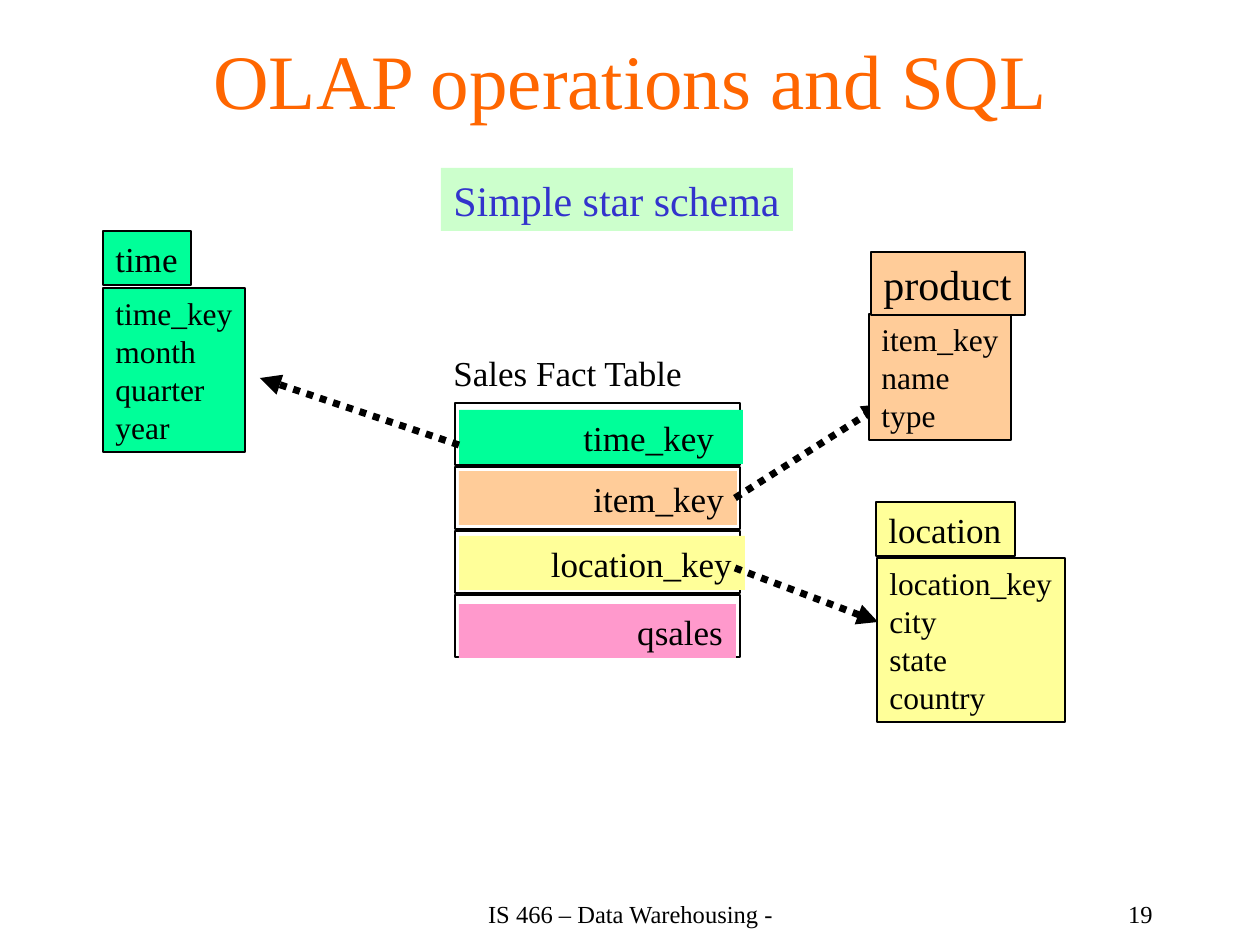
import pptx
import pptx.dml.color
import pptx.enum.dml
import pptx.enum.shapes
import pptx.enum.text
import pptx.oxml.ns
import pptx.util
from lxml import etree

PX = 914400 / 126
FONT = "Times New Roman"
COLORS = {
    "black": "000000",
    "title": "FF6600",
    "subtitle": "3333CC",
    "subtitle_fill": "CCFFCC",
    "time": "00FF99",
    "product": "FFCC99",
    "location": "FFFF99",
    "sales": "FF99CC",
}
ALIGN = pptx.enum.text.PP_ALIGN
ANCHOR = pptx.enum.text.MSO_ANCHOR


def emu(*lengths):
    return [round(length * PX) for length in lengths]


def rgb(name):
    return pptx.dml.color.RGBColor.from_string(COLORS[name])


def write(shape, lines, size, color="black", align=ALIGN.LEFT, anchor=ANCHOR.TOP):
    frame = shape.text_frame
    frame.word_wrap = align != ALIGN.LEFT
    frame.vertical_anchor = anchor
    frame.text = "\n".join(lines)
    for paragraph in frame.paragraphs:
        paragraph.alignment = align
        paragraph.font.name = FONT
        paragraph.font.size = pptx.util.Pt(size)
        paragraph.font.color.rgb = rgb(color)


def add_label(slide, box, text, size, **style):
    write(slide.shapes.add_textbox(*emu(*box)), [text], size, **style)


def add_box(slide, box, fill=None, line_width=None):
    shape = slide.shapes.add_shape(pptx.enum.shapes.MSO_SHAPE.RECTANGLE, *emu(*box))
    shape.shadow.inherit = False
    if fill:
        shape.fill.solid()
        shape.fill.fore_color.rgb = rgb(fill)
    else:
        shape.fill.background()
    if line_width:
        shape.line.color.rgb = rgb("black")
        shape.line.width = pptx.util.Pt(line_width)
    else:
        shape.line.fill.background()
    return shape


def add_dimension(slide, color, name_box, name_size, key_box, columns):
    """Draw the column list of a dimension table and its name tab above."""
    write(add_box(slide, key_box, color, 0.75), columns, 18)
    write(add_box(slide, name_box, color, 0.75), [color], name_size)


def add_fact_table(slide):
    add_label(slide, (441, 345, 257, 54), "Sales Fact Table", 20)
    fields = [
        ("time_key", "time", 410, 284, 29),
        ("item_key", "product", 471, 278, 13),
        ("location_key", "location", 536, 286, 13),
        ("qsales", "sales", 604, 277, 13),
    ]
    for row, (text, color, top, width, right_margin) in enumerate(fields):
        add_box(slide, (455, 403 + 64 * row, 285, 62), line_width=1)
        field = add_box(slide, (459, top, width, 54), color)
        write(field, [text], 20, align=ALIGN.RIGHT)
        field.text_frame.margin_right = emu(right_margin)[0]


def add_arrow(slide, start, end):
    connector = slide.shapes.add_connector(
        pptx.enum.shapes.MSO_CONNECTOR.STRAIGHT, *emu(*start, *end))
    connector.line.color.rgb = rgb("black")
    connector.line.width = pptx.util.Pt(4)
    connector.line.dash_style = pptx.enum.dml.MSO_LINE.ROUND_DOT
    qn = pptx.oxml.ns.qn
    etree.SubElement(connector.line._get_or_add_ln(), qn("a:tailEnd"), type="triangle")
    etree.SubElement(connector._element.spPr, qn("a:effectLst"))


def main():
    presentation = pptx.Presentation()
    presentation.slide_width, presentation.slide_height = emu(1260, 945)
    slide = presentation.slides.add_slide(presentation.slide_layouts[6])

    add_label(slide, (95, 0, 1071, 158), "OLAP operations and SQL", 44,
              color="title", align=ALIGN.CENTER, anchor=ANCHOR.MIDDLE)
    add_dimension(slide, "time", (103, 231, 88, 54), 20, (103, 288, 142, 164),
                  ["time_key", "month", "quarter", "year"])
    add_dimension(slide, "location", (876, 502, 139, 54), 20, (877, 558, 188, 164),
                  ["location_key", "city", "state", "country"])
    add_fact_table(slide)
    add_arrow(slide, (459, 445), (260, 378))
    add_arrow(slide, (735, 568), (878, 622))
    add_arrow(slide, (735, 498), (883, 404))
    add_dimension(slide, "product", (871, 252, 154, 63), 24, (869, 314, 142, 126),
                  ["item_key", "name", "type"])

    subtitle = add_box(slide, (441, 168, 352, 63), "subtitle_fill")
    write(subtitle, ["Simple star schema"], 24, color="subtitle")
    add_label(slide, (431, 882, 399, 63), "IS 466 – Data Warehousing -", 14,
              align=ALIGN.CENTER, anchor=ANCHOR.MIDDLE)
    add_label(slide, (903, 882, 262, 63), "19", 14,
              align=ALIGN.RIGHT, anchor=ANCHOR.MIDDLE)
    presentation.save("out.pptx")


if __name__ == "__main__":
    main()
